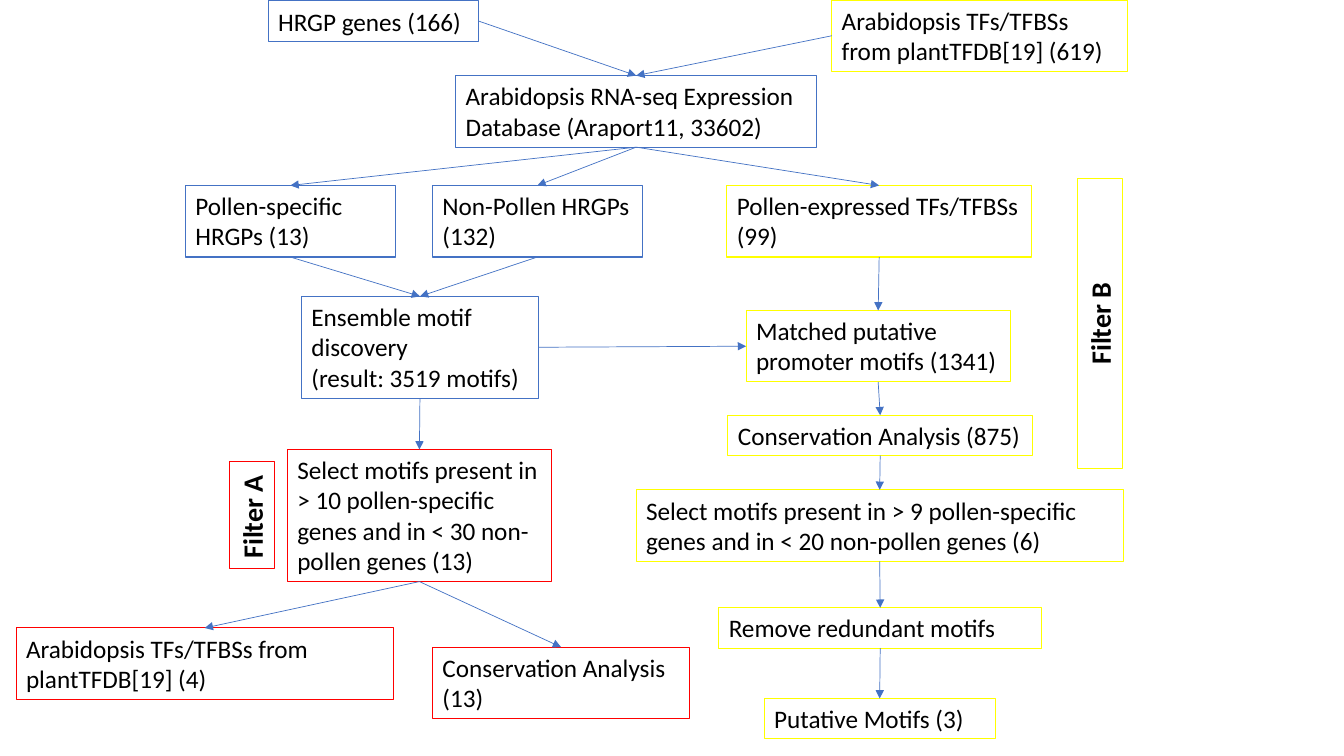
"""Build a flowchart slide of the motif discovery and filtering pipeline."""
from dataclasses import dataclass
from enum import IntEnum

from lxml.etree import SubElement
from pptx import Presentation
from pptx.dml.color import RGBColor
from pptx.enum.shapes import MSO_CONNECTOR
from pptx.enum.text import MSO_AUTO_SIZE, PP_ALIGN
from pptx.oxml.ns import qn
from pptx.shapes.autoshape import Shape
from pptx.slide import Slide
from pptx.util import Inches, Pt

BLUE = RGBColor(0x44, 0x72, 0xC4)
YELLOW = RGBColor(0xFF, 0xFF, 0x00)
RED = RGBColor(0xFF, 0x00, 0x00)
BLACK = RGBColor(0x00, 0x00, 0x00)
ONE_LINE, TWO_LINES, THREE_LINES, FOUR_LINES = 0.4, 0.71, 1.01, 1.31


class Side(IntEnum):
    TOP = 0
    LEFT = 1
    BOTTOM = 2
    RIGHT = 3


@dataclass(frozen=True)
class Box:
    key: str
    text: str
    left: float
    top: float
    width: float
    height: float
    color: RGBColor

    def anchor(self, side: Side) -> tuple[float, float]:
        """Return the middle of one side."""
        middle_x, middle_y = self.left + self.width / 2, self.top + self.height / 2
        return {
            Side.TOP: (middle_x, self.top),
            Side.LEFT: (self.left, middle_y),
            Side.BOTTOM: (middle_x, self.top + self.height),
            Side.RIGHT: (self.left + self.width, middle_y),
        }[side]


@dataclass(frozen=True)
class Arrow:
    start: str
    end: str
    start_side: Side = Side.BOTTOM
    end_side: Side = Side.TOP


BOXES = [
    Box("database", "Arabidopsis RNA-seq Expression\nDatabase (Araport11, 33602)",
        4.52, 0.75, 3.58, TWO_LINES, BLUE),
    Box("genes", "HRGP genes (166)", 2.66, 0.01, 2.09, ONE_LINE, BLUE),
    Box("factors", "Arabidopsis TFs/TFBSs from plantTFDB[19] (619)",
        8.25, 0, 2.93, TWO_LINES, YELLOW),
    Box("pollen", "Pollen-specific HRGPs (13)", 1.84, 1.84, 2.08, TWO_LINES, BLUE),
    Box("non_pollen", "Non-Pollen HRGPs (132)", 4.29, 1.84, 2.08, TWO_LINES, BLUE),
    Box("expressed", "Pollen-expressed TFs/TFBSs (99)",
        7.21, 1.84, 3.02, TWO_LINES, YELLOW),
    Box("ensemble", "Ensemble motif discovery \v(result: 3519 motifs)",
        2.99, 2.94, 2.35, THREE_LINES, BLUE),
    Box("matched", "Matched putative promoter motifs (1341)",
        7.4, 3.08, 2.62, TWO_LINES, YELLOW),
    Box("conserved_b", "Conservation Analysis (875)", 7.22, 4.12, 3.02, ONE_LINE, YELLOW),
    Box("select_b",
        "Select motifs present in > 9 pollen-specific genes and in < 20 non-pollen genes (6)",
        6.31, 4.86, 4.83, TWO_LINES, YELLOW),
    Box("redundant", "Remove redundant motifs", 7.13, 6.03, 3.2, ONE_LINE, YELLOW),
    Box("putative", "Putative Motifs (3)", 7.58, 6.93, 2.29, ONE_LINE, YELLOW),
    Box("select_a",
        "Select motifs present in > 10 pollen-specific genes and in < 30 non-pollen genes (13)",
        2.85, 4.46, 2.62, FOUR_LINES, RED),
    Box("factors_a", "Arabidopsis TFs/TFBSs from plantTFDB[19] (4)",
        0.16, 6.23, 3.74, TWO_LINES, RED),
    Box("conserved_a", "Conservation Analysis (13)", 4.29, 6.42, 2.55, TWO_LINES, RED),
]

FILTER_A = Box("filter_a", "Filter A", 1.97, 4.89, 1.06, 0.44, RED)
FILTER_B = Box("filter_b", "Filter B", 9.47, 2.99, 2.88, 0.44, YELLOW)

ARROWS = [
    Arrow("genes", "database", start_side=Side.RIGHT),
    Arrow("factors", "database", start_side=Side.LEFT),
    Arrow("database", "pollen"),
    Arrow("database", "non_pollen"),
    Arrow("database", "expressed"),
    Arrow("pollen", "ensemble"),
    Arrow("non_pollen", "ensemble"),
    Arrow("ensemble", "matched", Side.RIGHT, Side.LEFT),
    Arrow("ensemble", "select_a"),
    Arrow("select_a", "factors_a"),
    Arrow("select_a", "conserved_a"),
    Arrow("expressed", "matched"),
    Arrow("matched", "conserved_b"),
    Arrow("conserved_b", "select_b"),
    Arrow("select_b", "redundant"),
    Arrow("redundant", "putative"),
]


def write_text(shape: Shape, text: str, *, size: int, bold: bool, align: PP_ALIGN) -> None:
    """Write wrapped black text into a shape."""
    frame = shape.text_frame
    frame.word_wrap = True
    frame.auto_size = MSO_AUTO_SIZE.SHAPE_TO_FIT_TEXT
    frame.text = text
    for paragraph in frame.paragraphs:
        paragraph.alignment = align
        for run in paragraph.runs:
            run.font.name = "Calibri"
            run.font.size = Pt(size)
            run.font.bold = bold
            run.font.color.rgb = BLACK


def add_box(slide: Slide, box: Box, *, size: int = 18, bold: bool = False,
            align: PP_ALIGN = PP_ALIGN.LEFT, rotation: float = 0) -> Shape:
    """Draw an outlined text box."""
    shape = slide.shapes.add_textbox(
        Inches(box.left), Inches(box.top), Inches(box.width), Inches(box.height))
    shape.rotation = rotation
    shape.line.color.rgb = box.color
    shape.line.width = Pt(0.75)
    write_text(shape, box.text, size=size, bold=bold, align=align)
    return shape


def add_arrow(slide: Slide, arrow: Arrow, boxes: dict[str, Box],
              shapes: dict[str, Shape]) -> None:
    """Join two boxes with a straight arrow."""
    start = boxes[arrow.start].anchor(arrow.start_side)
    end = boxes[arrow.end].anchor(arrow.end_side)
    connector = slide.shapes.add_connector(
        MSO_CONNECTOR.STRAIGHT, *(Inches(length) for length in start + end))
    connector.begin_connect(shapes[arrow.start], arrow.start_side.value)
    connector.end_connect(shapes[arrow.end], arrow.end_side.value)
    connector.line.color.rgb = BLUE
    connector.line.width = Pt(0.5)
    SubElement(connector.line._get_or_add_ln(), qn("a:tailEnd"), type="triangle")
    SubElement(connector._element.spPr, qn("a:effectLst"))


def main() -> None:
    """Build and save the presentation."""
    presentation = Presentation()
    presentation.slide_width = Inches(13.33)
    presentation.slide_height = Inches(7.5)
    slide = presentation.slides.add_slide(presentation.slide_layouts[6])
    boxes = {box.key: box for box in BOXES}
    shapes = {key: add_box(slide, box) for key, box in boxes.items()}
    add_box(slide, FILTER_A, size=20, bold=True, rotation=270)
    add_box(slide, FILTER_B, size=20, bold=True, align=PP_ALIGN.CENTER, rotation=270)
    for arrow in ARROWS:
        add_arrow(slide, arrow, boxes, shapes)
    presentation.save("out.pptx")


if __name__ == "__main__":
    main()
